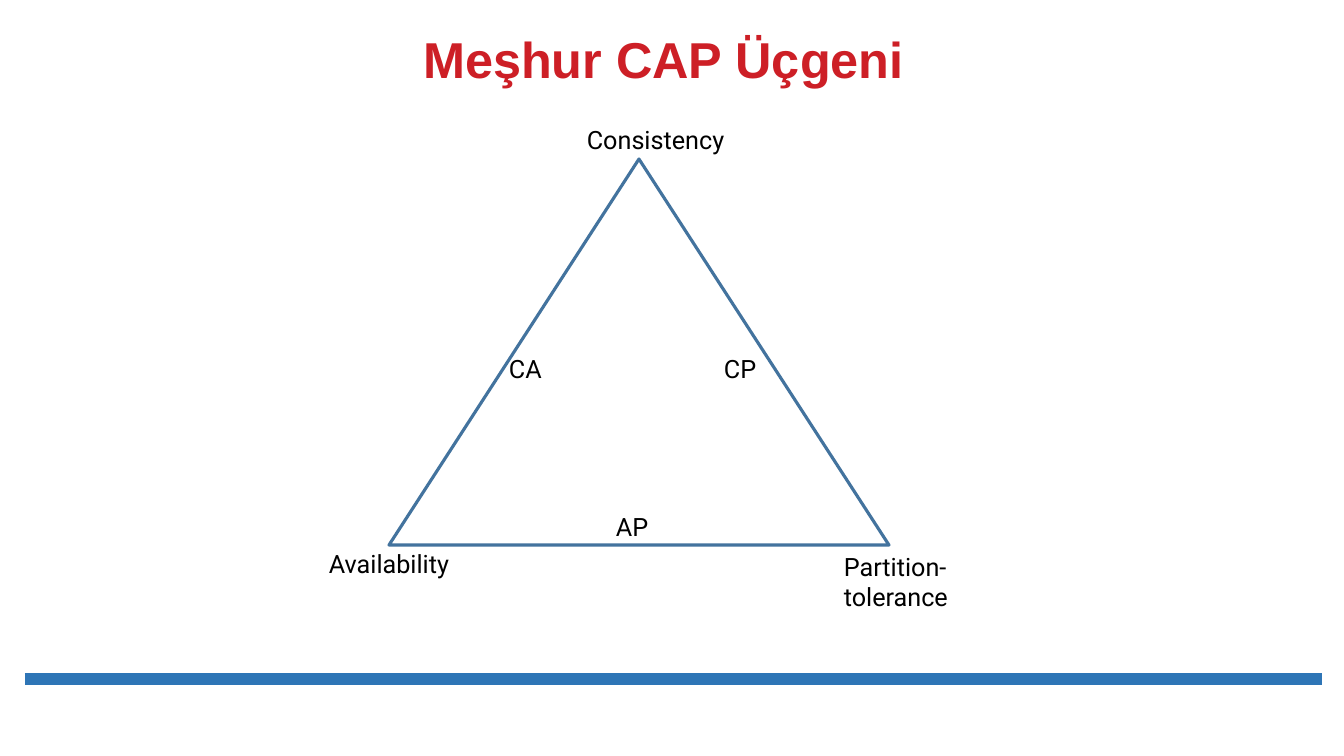
from pptx import Presentation
from pptx.dml.color import RGBColor
from pptx.enum.shapes import MSO_CONNECTOR, MSO_SHAPE
from pptx.enum.text import MSO_ANCHOR, PP_ALIGN
from pptx.oxml.ns import qn
from pptx.util import Emu, Pt
from lxml.etree import SubElement

THEME = {
    "title": ("Arial", Pt(36), RGBColor(0xCD, 0x1F, 0x26), True),
    "label": ("Roboto", Pt(18), RGBColor(0, 0, 0), False),
    "triangle": RGBColor(0x43, 0x73, 0x9E),
    "footer": RGBColor(0x2E, 0x75, 0xB6),
}
EMU_PER_PX = 914400 / 100.8


def px(*lengths):
    return [Emu(round(length * EMU_PER_PX)) for length in lengths]


def add_text(slide, text, box, style):
    frame = slide.shapes.add_textbox(*px(*box)).text_frame
    frame.word_wrap = True
    paragraph = frame.paragraphs[0]
    paragraph.text = text
    font = paragraph.font
    font.name, font.size, font.color.rgb, font.bold = THEME[style]
    return frame


presentation = Presentation()
presentation.slide_width, presentation.slide_height = px(1344, 756)
slide = presentation.slides.add_slide(presentation.slide_layouts[6])

footer_rule = slide.shapes.add_connector(MSO_CONNECTOR.STRAIGHT, *px(25, 679, 1322, 679))
footer_rule.line.color.rgb = THEME["footer"]
footer_rule.line.width = Pt(8)
SubElement(footer_rule._element.spPr, qn("a:effectLst"))

title = add_text(slide, "Meşhur CAP Üçgeni", (406, 36, 515, 58), "title")
title.vertical_anchor = MSO_ANCHOR.BOTTOM
title.paragraphs[0].alignment = PP_ALIGN.CENTER
title.paragraphs[0].line_spacing = 0.9

cap_triangle = slide.shapes.add_shape(MSO_SHAPE.ISOSCELES_TRIANGLE, *px(389, 159, 500, 386))
cap_triangle.shadow.inherit = False
cap_triangle.fill.background()
cap_triangle.line.color.rgb = THEME["triangle"]
cap_triangle.line.width = Pt(2.25)

labels = [
    ("Availability", (319, 543, 175, 40)),
    ("Consistency", (577, 119, 175, 40)),
    ("Partition-tolerance", (834, 546, 175, 72)),
    ("CP", (714, 348, 60, 40)),
    ("AP", (606, 506, 57, 40)),
    ("CA", (499, 348, 55, 40)),
]
for name, box in labels:
    add_text(slide, name, box, "label")

presentation.save("out.pptx")
